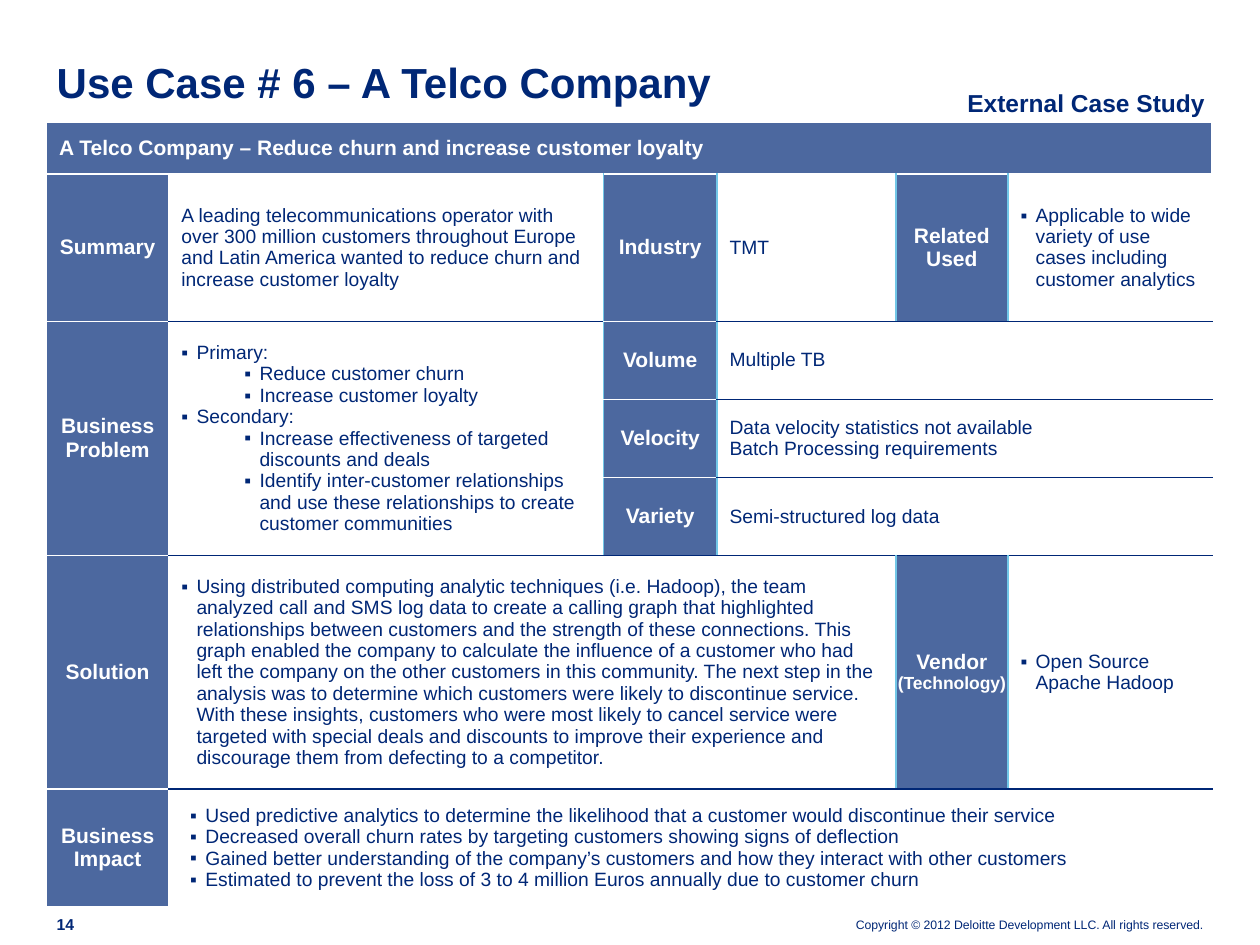
from lxml.etree import SubElement
from pptx import Presentation
from pptx.dml.color import RGBColor
from pptx.enum.text import MSO_ANCHOR, PP_ALIGN
from pptx.oxml.ns import qn
from pptx.util import Inches, Pt

NAVY = RGBColor(0x00, 0x27, 0x76)
BLUE = RGBColor(0x4C, 0x68, 0x9F)
CYAN = RGBColor(0x72, 0xC7, 0xE7)
WHITE = RGBColor(0xFF, 0xFF, 0xFF)


def write(frame, text, size=11, bold=False, color=NAVY, align=PP_ALIGN.LEFT, indent=None):
    """Fill the empty first paragraph, or add one; an indent brings a bullet."""
    para = frame.paragraphs[0]
    if para.runs:
        para = frame.add_paragraph()
    para.alignment = align
    if indent is not None:
        properties = para._p.get_or_add_pPr()
        properties.set("marL", str(Inches(indent)))
        properties.set("indent", str(Inches(-0.12)))
        SubElement(properties, qn("a:buFont"), typeface="Arial")
        SubElement(properties, qn("a:buChar"), char="▪")
    span = para.add_run()
    span.text = text
    span.font.name = "Arial"
    span.font.size = Pt(size)
    span.font.bold = bold
    span.font.color.rgb = color
    return para


def add_border(cell, side, color):
    line = SubElement(cell._tc.get_or_add_tcPr(), qn("a:ln" + side), w=str(Pt(1)))
    fill = SubElement(line, qn("a:solidFill"))
    SubElement(fill, qn("a:srgbClr"), val=str(color))


deck = Presentation()
deck.slide_width, deck.slide_height = Inches(10), Inches(7.5)
page = deck.slides.add_slide(deck.slide_layouts[5])

# Title
title = page.shapes.title
title.left, title.top, title.width, title.height = (
    Inches(0.45), Inches(0.49), Inches(9.11), Inches(0.36))
frame = title.text_frame
frame.margin_left = frame.margin_right = frame.margin_top = frame.margin_bottom = 0
frame.vertical_anchor = MSO_ANCHOR.BOTTOM
write(frame, "Use Case # 6 – A Telco Company", size=24, bold=True).line_spacing = Pt(26)

# Tag above the table
tag = page.shapes.add_textbox(Inches(7.43), Inches(0.65), Inches(2.38), Inches(0.34))
tag.text_frame.word_wrap = True
write(tag.text_frame, "External Case Study", size=14, bold=True, align=PP_ALIGN.CENTER)

# Footer: copyright and page number
footers = [
    (6.52, 7.28, 3.03, 0.12, "Copyright © 2012 Deloitte Development LLC. All rights reserved.",
     dict(size=7, align=PP_ALIGN.RIGHT)),
    (0.45, 7.26, 0.29, 0.15, "14", dict(size=9, bold=True)),
]
for left, top, width, height, text, style in footers:
    box = page.shapes.add_textbox(Inches(left), Inches(top), Inches(width), Inches(height))
    frame = box.text_frame
    frame.word_wrap = True
    frame.margin_left = frame.margin_right = frame.margin_top = frame.margin_bottom = 0
    frame.vertical_anchor = MSO_ANCHOR.BOTTOM
    write(frame, text, **style)

# Table grid
widths = [0.97, 3.45, 0.9, 1.42, 0.89, 1.62]
heights = [0.41, 1.17, 0.62, 0.62, 0.62, 1.85, 0.92]
table = page.shapes.add_table(len(heights), len(widths), Inches(0.37), Inches(0.97),
                              Inches(sum(widths)), Inches(sum(heights))).table
table.first_row = table.horz_banding = False
for column, width in zip(table.columns, widths):
    column.width = Inches(width)
for row, height in zip(table.rows, heights):
    row.height = Inches(height)

# Label cells: row, column, rows spanned, columns spanned, text
labels = [
    (0, 0, 1, 6, "A Telco Company – Reduce churn and increase customer loyalty"),
    (1, 0, 1, 1, "Summary"),
    (1, 2, 1, 1, "Industry"),
    (1, 4, 1, 1, "Related Used"),
    (2, 0, 3, 1, "Business Problem"),
    (2, 2, 1, 1, "Volume"),
    (3, 2, 1, 1, "Velocity"),
    (4, 2, 1, 1, "Variety"),
    (5, 0, 1, 1, "Solution"),
    (5, 4, 1, 1, "Vendor"),
    (6, 0, 1, 1, "Business Impact"),
]
# Detail cells: the same, with (text, bullet indent) for each paragraph
details = [
    (1, 1, 1, 1, [("A leading telecommunications operator with over 300 million customers "
                   "throughout Europe and Latin America wanted to reduce churn and increase "
                   "customer loyalty", None)]),
    (1, 3, 1, 1, [("TMT", None)]),
    (1, 5, 1, 1, [("Applicable to wide variety of use cases including customer analytics", 0.12)]),
    (2, 1, 3, 1, [("Primary:", 0.12),
                  ("Reduce customer churn", 0.62),
                  ("Increase customer loyalty", 0.62),
                  ("Secondary:", 0.12),
                  ("Increase effectiveness of targeted discounts and deals", 0.62),
                  ("Identify inter-customer relationships and use these relationships to "
                   "create customer communities", 0.62)]),
    (2, 3, 1, 3, [("Multiple TB", None)]),
    (3, 3, 1, 3, [("Data velocity statistics not available", None),
                  ("Batch Processing requirements", None)]),
    (4, 3, 1, 3, [("Semi-structured log data", None)]),
    (5, 1, 1, 3, [("Using distributed computing analytic techniques (i.e. Hadoop), the team "
                   "analyzed call and SMS log data to create a calling graph that highlighted "
                   "relationships between customers and the strength of these connections. This "
                   "graph enabled the company to calculate the influence of a customer who had "
                   "left the company on the other customers in this community. The next step in "
                   "the analysis was to determine which customers were likely to discontinue "
                   "service. With these insights, customers who were most likely to cancel "
                   "service were targeted with special deals and discounts to improve their "
                   "experience and discourage them from defecting to a competitor.", 0.12)]),
    (5, 5, 1, 1, [("Open Source Apache Hadoop", 0.12)]),
    (6, 1, 1, 5, [("Used predictive analytics to determine the likelihood that a customer would "
                   "discontinue their service", 0.19),
                  ("Decreased overall churn rates by targeting customers showing signs of "
                   "deflection", 0.19),
                  ("Gained better understanding of the company’s customers and how they "
                   "interact with other customers", 0.19),
                  ("Estimated to prevent the loss of 3 to 4 million Euros annually due to "
                   "customer churn", 0.19)]),
]

for row, column, row_span, column_span, content in labels + details:
    cell = table.cell(row, column)
    bottom, right = row + row_span, column + column_span
    if row_span * column_span > 1:
        cell.merge(table.cell(bottom - 1, right - 1))

    # Borders along the outer edges of the cell, covered cells included
    for y in range(row, bottom):
        for x in range(column, right):
            part = table.cell(y, x)
            if x == column and column > 1:
                add_border(part, "L", CYAN)
            if x == right - 1 and 1 < right < 6 and column > 0:
                add_border(part, "R", CYAN)
            for side, edge, outer in (("T", y, row), ("B", y + 1, bottom)):
                if edge == outer:
                    white = edge in (0, 1, 7) or x == 0 or (x == 2 and edge in (2, 3, 4))
                    add_border(part, side, WHITE if white else NAVY)

    cell.vertical_anchor = MSO_ANCHOR.MIDDLE
    cell.margin_left = cell.margin_right = Inches(0.1)
    cell.margin_top = cell.margin_bottom = Inches(0.1)
    if isinstance(content, str):
        cell.fill.solid()
        cell.fill.fore_color.rgb = BLUE
        align = PP_ALIGN.LEFT if row == 0 else PP_ALIGN.CENTER
        write(cell.text_frame, content, size=12, bold=True, color=WHITE, align=align)
    else:
        cell.fill.background()
        for text, indent in content:
            write(cell.text_frame, text, indent=indent)

# Second, smaller line of the vendor label
vendor = table.cell(5, 4)
vendor.margin_left = vendor.margin_right = 0
write(vendor.text_frame, "(Technology)", size=10, bold=True, color=WHITE, align=PP_ALIGN.CENTER)

deck.save("out.pptx")
